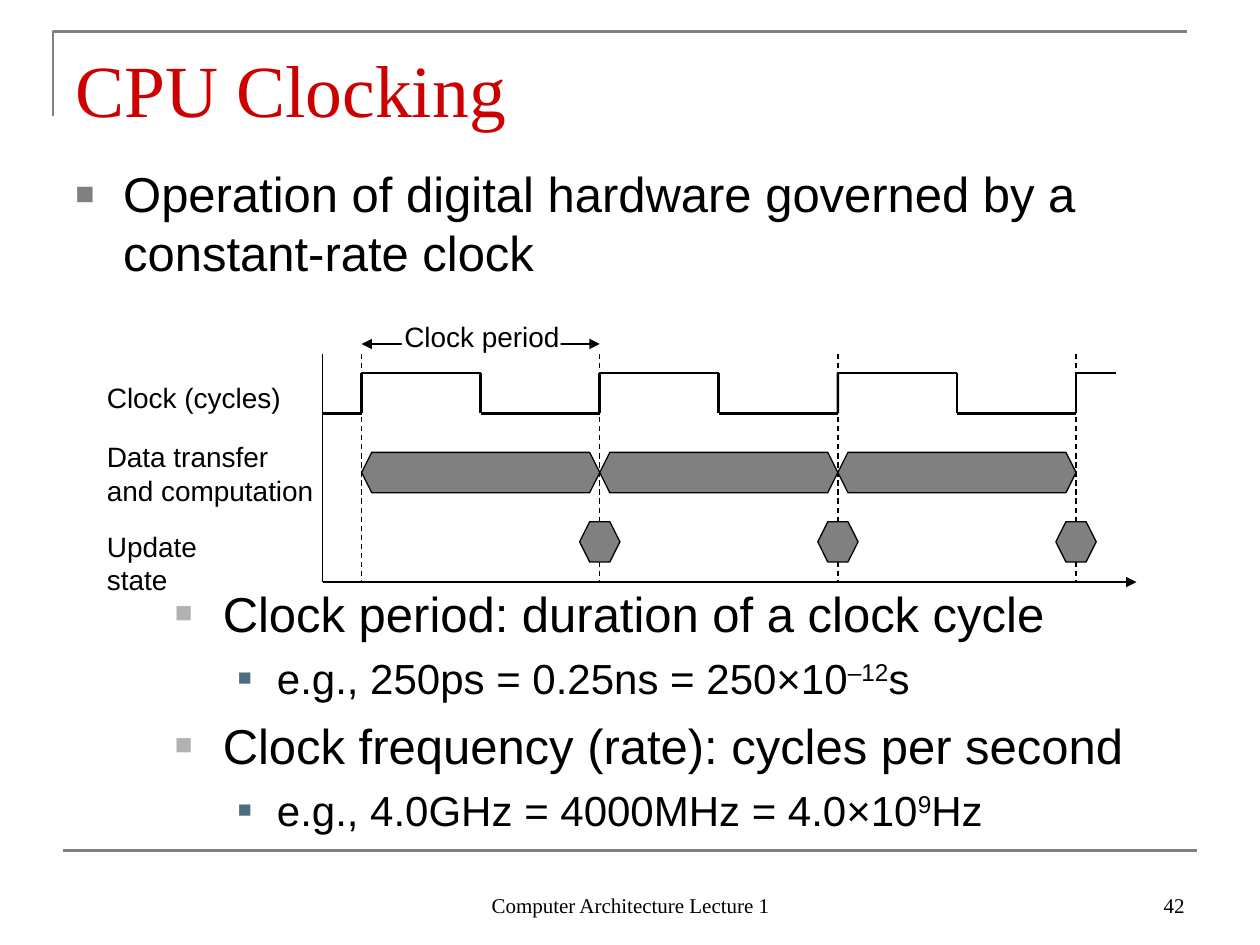
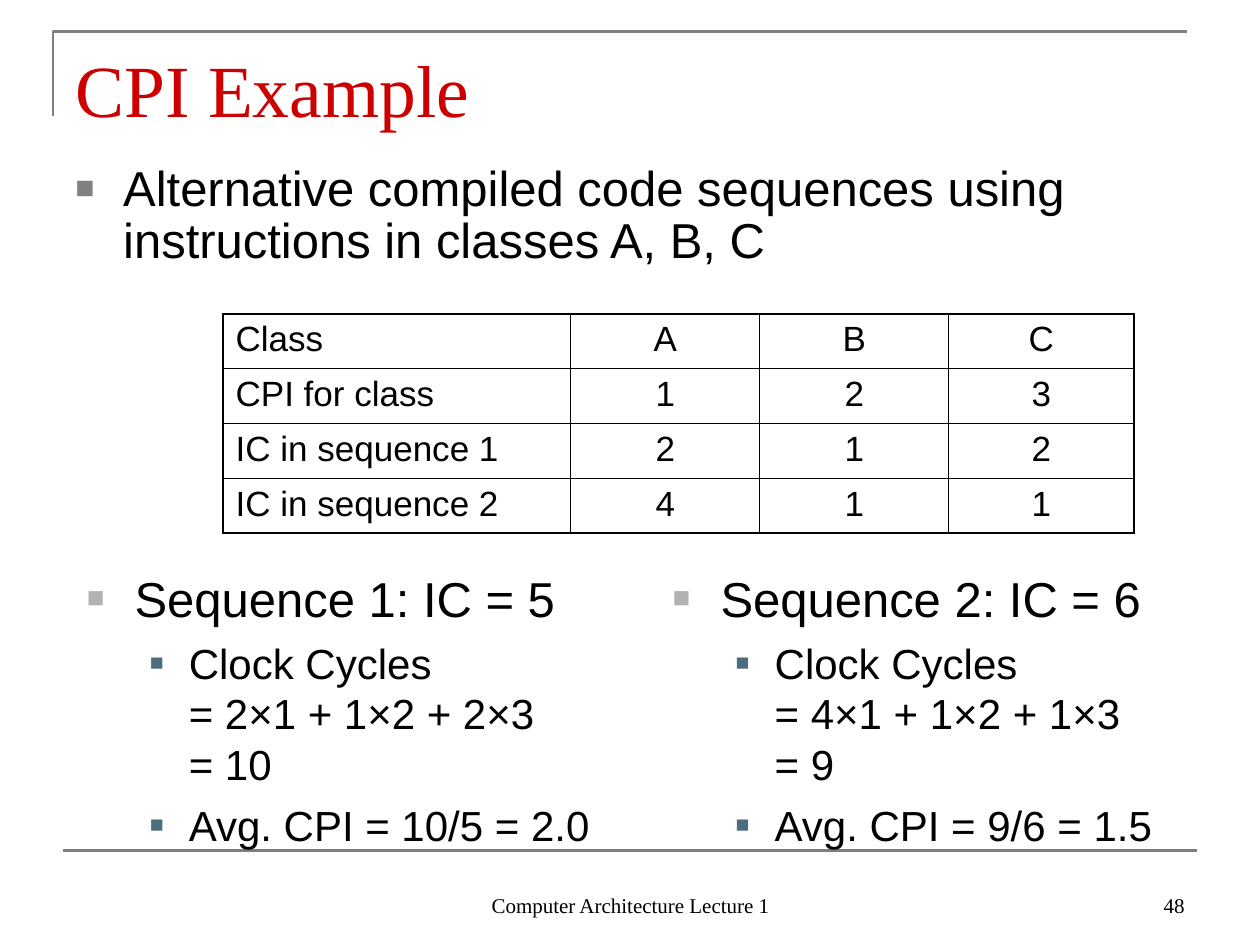
from lxml import etree
from pptx import Presentation
from pptx.dml.color import RGBColor
from pptx.enum.dml import MSO_LINE
from pptx.enum.shapes import MSO_CONNECTOR, MSO_SHAPE
from pptx.enum.text import MSO_ANCHOR, MSO_AUTO_SIZE, PP_ALIGN
from pptx.oxml.ns import qn
from pptx.util import Inches, Pt

BLACK = RGBColor(0, 0, 0)
WHITE = RGBColor(0xFF, 0xFF, 0xFF)
GRAY = RGBColor(0x80, 0x80, 0x80)
SILVER = RGBColor(0xB2, 0xB2, 0xB2)
SLATE = RGBColor(0x4C, 0x6D, 0x80)
RED = RGBColor(0xCC, 0, 0)
SANS, SERIF = "Arial", "Times New Roman"

# level: (size, left margin, indent, space before, bullet colour, bullet percent)
LEVELS = {
    "main": (28, 0.38, -0.38, 7, GRAY, 65),
    "point": (28, 0.38, -0.38, 7, SILVER, 60),
    "detail": (24, 0.81, -0.31, 6, SLATE, 55),
}


def add_child(parent, tag, **attributes):
    child = etree.SubElement(parent, qn(tag))
    for name, value in attributes.items():
        child.set(name, str(value))
    return child


def write(para, text, size=16, font=SANS, color=BLACK, raised=False):
    """Append text to a paragraph; each newline becomes a line break."""
    for number, line in enumerate(text.split("\n")):
        if number:
            para.add_line_break()
        span = para.add_run()
        span.text = line
        span.font.size = Pt(size)
        span.font.name = font
        span.font.color.rgb = color
        if raised:
            span.font._element.set("baseline", "30000")


def add_bullet(para, left, indent, color, percent):
    props = para._p.get_or_add_pPr()
    props.set("marL", str(Inches(left)))
    props.set("indent", str(Inches(indent)))
    add_child(add_child(props, "a:buClr"), "a:srgbClr", val=color)
    add_child(props, "a:buSzPct", val=percent * 1000)
    add_child(props, "a:buFont", typeface=SANS)
    add_child(props, "a:buChar", char="■")


def set_borders(cell, **widths):
    """Draw black cell borders; the keys are lnL, lnR, lnT and lnB."""
    props = cell._tc.get_or_add_tcPr()
    for position, (side, width) in enumerate(widths.items()):
        border = etree.Element(qn(f"a:{side}"), w=str(Pt(width)))
        add_child(add_child(border, "a:solidFill"), "a:srgbClr", val=BLACK)
        props.insert(position, border)


class LectureDeck:
    """Holds the lecture style and the slide being filled."""

    def __init__(self):
        self.deck = Presentation()
        self.deck.slide_width = Inches(10)
        self.deck.slide_height = Inches(7.5)
        self.page = None

    def start_page(self, title, number):
        self.page = self.deck.slides.add_slide(self.deck.slide_layouts[6])
        self.outline([(0.42, 0.92), (0.42, 0.25), (9.42, 0.25)])
        self.line(0.5, 6.75, 9.5, 6.75, color=GRAY, width=1.5)
        self.text(title, 0.5, 0.3, 9, 0.78, size=42, font=SERIF, color=RED)
        footer = {"size": 12, "font": SERIF, "anchor": MSO_ANCHOR.BOTTOM}
        self.text("Computer Architecture Lecture 1", 3.42, 6.83, 3.17, 0.5,
                  align=PP_ALIGN.CENTER, **footer)
        self.text(str(number), 7.17, 6.83, 2.33, 0.5, align=PP_ALIGN.RIGHT, **footer)

    def frame(self, left, top, width, height, wrap=True, anchor=MSO_ANCHOR.TOP):
        box = self.page.shapes.add_textbox(
            Inches(left), Inches(top), Inches(width), Inches(height))
        frame = box.text_frame
        frame.word_wrap = wrap
        frame.auto_size = MSO_AUTO_SIZE.NONE if wrap else MSO_AUTO_SIZE.SHAPE_TO_FIT_TEXT
        frame.vertical_anchor = anchor
        return frame

    def text(self, text, left, top, width, height, wrap=True,
             anchor=MSO_ANCHOR.TOP, align=PP_ALIGN.LEFT, **style):
        para = self.frame(left, top, width, height, wrap, anchor).paragraphs[0]
        para.alignment = align
        write(para, text, **style)

    def bullets(self, items, left, top, width, height, spacing=None):
        """Each item is a level name and text parts; every second part is raised."""
        frame = self.frame(left, top, width, height)
        for number, (level, *parts) in enumerate(items):
            size, margin, indent, before, color, percent = LEVELS[level]
            para = frame.add_paragraph() if number else frame.paragraphs[0]
            add_bullet(para, margin, indent, color, percent)
            if number:
                para.space_before = Pt(before)
            if spacing:
                para.line_spacing = spacing
            for place, part in enumerate(parts):
                write(para, part, size=size, raised=place % 2 == 1)

    def line(self, x1, y1, x2, y2, color=BLACK, width=0.75, dashed=False, arrows=()):
        """Arrows may hold headEnd (start) and tailEnd (finish)."""
        connector = self.page.shapes.add_connector(
            MSO_CONNECTOR.STRAIGHT, Inches(x1), Inches(y1), Inches(x2), Inches(y2))
        connector.line.color.rgb = color
        connector.line.width = Pt(width)
        if dashed:
            connector.line.dash_style = MSO_LINE.DASH
        for end in arrows:
            add_child(connector.line._get_or_add_ln(), f"a:{end}", type="triangle")
        add_child(connector._element.spPr, "a:effectLst")

    def outline(self, points, fill=None, color=GRAY, width=1.5):
        """Draw an open path, or a closed one when a fill is given."""
        corners = [(Inches(x), Inches(y)) for x, y in points]
        builder = self.page.shapes.build_freeform(*corners[0])
        builder.add_line_segments(corners[1:], close=fill is not None)
        shape = builder.convert_to_shape()
        shape.shadow.inherit = False
        if fill is None:
            shape.fill.background()
        else:
            shape.fill.solid()
            shape.fill.fore_color.rgb = fill
        shape.line.color.rgb = color
        shape.line.width = Pt(width)

    def hexagon(self, left, right, middle):
        tip, half = 0.08, 0.16
        self.outline(
            [(left, middle), (left + tip, middle - half), (right - tip, middle - half),
             (right, middle), (right - tip, middle + half), (left + tip, middle + half)],
            fill=GRAY, color=BLACK, width=0.75)

    def plate(self, left, top, width, height):
        plate = self.page.shapes.add_shape(
            MSO_SHAPE.RECTANGLE, Inches(left), Inches(top), Inches(width), Inches(height))
        plate.shadow.inherit = False
        plate.fill.solid()
        plate.fill.fore_color.rgb = WHITE
        plate.line.fill.background()

    def table(self, rows, left, top, widths, row_height, thick=1.08, thin=0.45):
        grid = self.page.shapes.add_table(
            len(rows), len(widths), Inches(left), Inches(top),
            Inches(sum(widths)), Inches(row_height * len(rows))).table
        grid.first_row = grid.horz_banding = False
        for column, width in zip(grid.columns, widths):
            column.width = Inches(width)
        last_row, last_column = len(rows) - 1, len(widths) - 1
        for r, values in enumerate(rows):
            for c, value in enumerate(values):
                cell = grid.cell(r, c)
                cell.fill.background()
                para = cell.text_frame.paragraphs[0]
                para.alignment = PP_ALIGN.CENTER if c else PP_ALIGN.LEFT
                write(para, value, size=20)
                set_borders(
                    cell,
                    lnL=thick if c == 0 else thin,
                    lnR=thick if c == last_column else thin,
                    lnT=thick if r <= 1 else thin,
                    lnB=thick if r in (0, last_row) else thin)


def draw_timing(lecture):
    origin, floor, ceiling = 2.56, 4.62, 2.81
    period, high, low = 1.89, 2.96, 3.28
    ticks = [2.87 + period * number for number in range(4)]
    first, last = ticks[0], ticks[-1]

    lecture.line(first, 2.73, ticks[1], 2.73, arrows=("headEnd", "tailEnd"))
    for tick in ticks:
        lecture.line(tick, ceiling, tick, floor, dashed=True)

    wave = [(origin, low), (first, low)]
    for tick in ticks[:-1]:
        fall = tick + period / 2
        wave += [(tick, high), (fall, high), (fall, low), (tick + period, low)]
    wave += [(last, high), (8.86, high)]
    for start, finish in zip(wave, wave[1:]):
        lecture.line(*start, *finish, width=1.5)

    for tick in ticks[1:]:
        lecture.hexagon(tick - 0.16, tick + 0.16, 4.3)
    lecture.line(origin, floor, 9.02, floor, arrows=("tailEnd",))
    lecture.line(origin, floor, origin, ceiling)
    for label, top, width, height in (
            ("Clock (cycles)", 2.97, 1.58, 0.37),
            ("Data transfer\nand computation", 3.44, 1.84, 0.64),
            ("Update state", 4.15, 1.45, 0.37)):
        lecture.text(label, 0.75, top, width, height, wrap=False)
    lecture.plate(3.19, 2.65, 1.26, 0.16)
    lecture.text("Clock period", 3.11, 2.49, 1.43, 0.37, wrap=False, align=PP_ALIGN.CENTER)
    for tick in ticks[:-1]:
        lecture.hexagon(tick, tick + period, 3.75)


def add_clocking(lecture):
    lecture.start_page("CPU Clocking", 42)
    lecture.bullets(
        [("main", "Operation of digital hardware governed by a constant-rate clock")],
        0.5, 1.25, 9, 5.45)
    draw_timing(lecture)
    lecture.bullets(
        [("point", "Clock period: duration of a clock cycle"),
         ("detail", "e.g., 250ps = 0.25ns = 250×10", "–12", "s"),
         ("point", "Clock frequency (rate): cycles per second"),
         ("detail", "e.g., 4.0GHz = 4000MHz = 4.0×10", "9", "Hz")],
        1.29, 4.58, 8.5, 2.13)


def add_cpi_example(lecture):
    lecture.start_page("CPI Example", 48)
    lecture.bullets(
        [("main", "Alternative compiled code sequences using instructions in classes A, B, C")],
        0.5, 1.25, 9, 5.45, spacing=0.9)
    lecture.table(
        [("Class", "A", "B", "C"),
         ("CPI for class", "1", "2", "3"),
         ("IC in sequence 1", "2", "1", "2"),
         ("IC in sequence 2", "4", "1", "1")],
        1.77, 2.49, (2.76, 1.5, 1.5, 1.47), 0.435)
    for left, heading, cycles, average in (
            (0.59, "Sequence 1: IC = 5", "= 2×1 + 1×2 + 2×3\n= 10", "10/5 = 2.0"),
            (5.24, "Sequence 2: IC = 6", "= 4×1 + 1×2 + 1×3\n= 9", "9/6 = 1.5")):
        lecture.bullets(
            [("point", heading),
             ("detail", f"Clock Cycles\n{cycles}"),
             ("detail", f"Avg. CPI = {average}")],
            left, 4.46, 4.25, 2.28)


def main():
    lecture = LectureDeck()
    add_clocking(lecture)
    add_cpi_example(lecture)
    lecture.deck.save("out.pptx")


if __name__ == "__main__":
    main()
